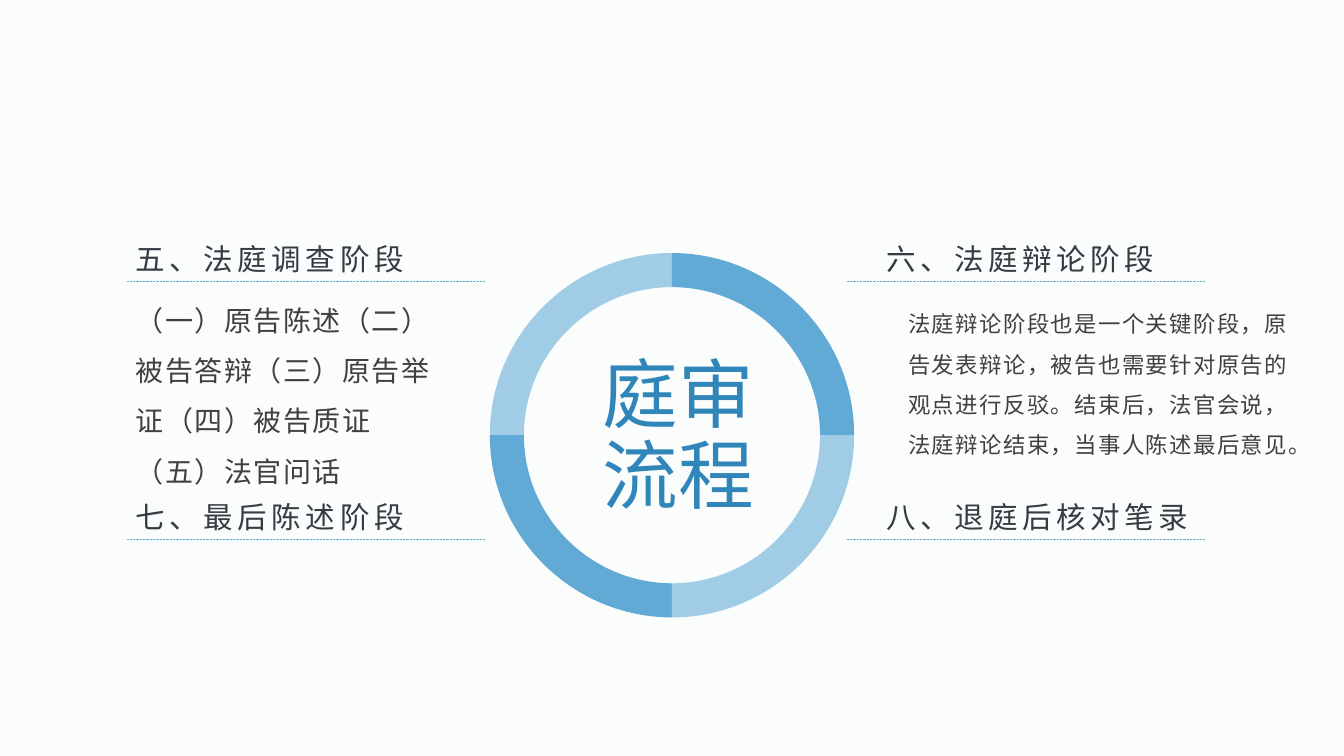
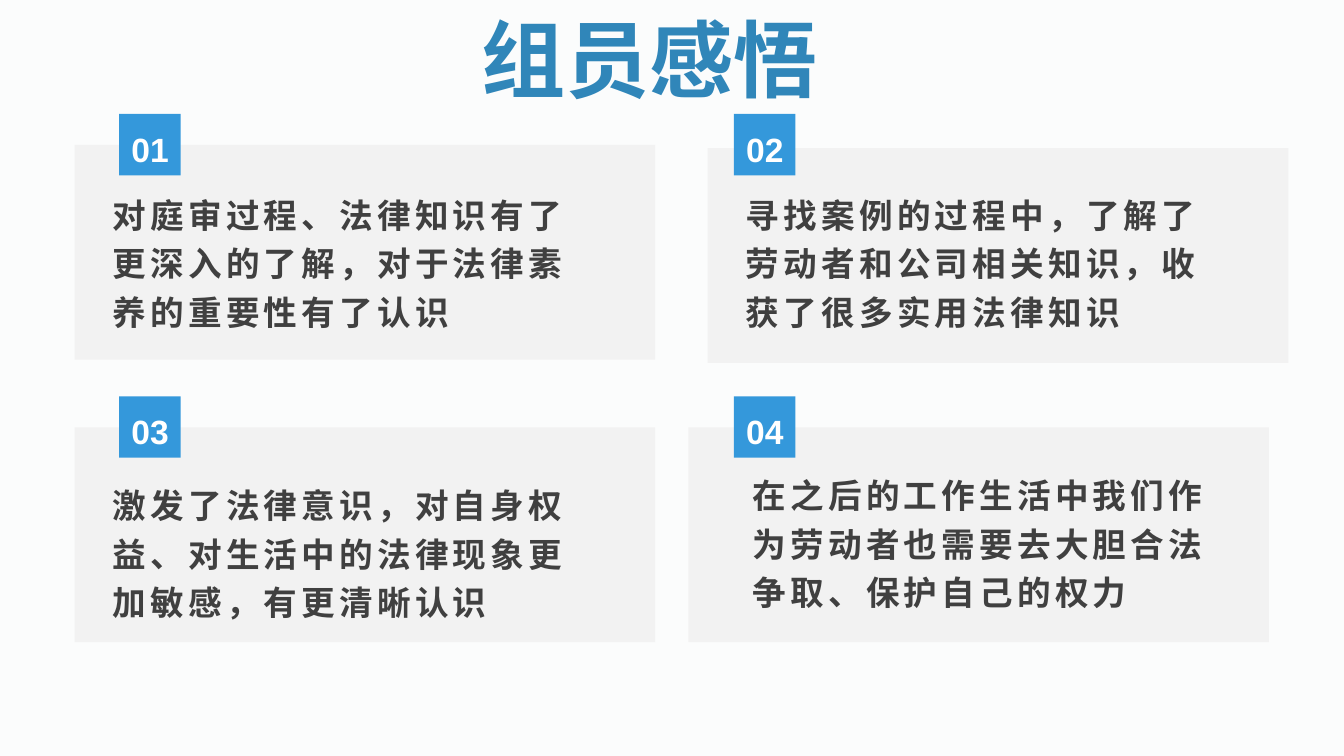
from lxml import etree
from pptx import Presentation, util as u
from pptx.dml.color import RGBColor
from pptx.enum import dml, shapes, text
from pptx.oxml import ns

PX = 914400 / 192
PAPER = RGBColor(0xFB, 0xFC, 0xFC)
WHITE = RGBColor(0xFF, 0xFF, 0xFF)
SLATE = RGBColor(0x33, 0x3D, 0x43)
INK = RGBColor(0x40, 0x40, 0x40)
DEEP = RGBColor(0x30, 0x86, 0xB9)
MID = RGBColor(0x61, 0xAA, 0xD6)
PALE = RGBColor(0xA0, 0xCC, 0xE6)
BLUE = RGBColor(0x34, 0x98, 0xDB)
GREY = RGBColor(0xF2, 0xF2, 0xF2)
SANS = "Noto Sans CJK SC"
MIDDLE = text.MSO_ANCHOR.MIDDLE
GROW = text.MSO_AUTO_SIZE.SHAPE_TO_FIT_TEXT
CENTER = text.PP_ALIGN.CENTER

HEAD = dict(frame=dict(vertical_anchor=MIDDLE, auto_size=GROW), para={},
            font=dict(size=u.Pt(21.1), name=SANS), color=SLATE, gap=320)
LIST = dict(frame=dict(vertical_anchor=MIDDLE, auto_size=GROW), para=dict(line_spacing=1.5),
            font=dict(size=u.Pt(20), name=SANS), color=INK, gap=106)
BODY = dict(frame=dict(vertical_anchor=MIDDLE), para=dict(line_spacing=1.5),
            font=dict(size=u.Pt(16), name=SANS), color=INK, gap=106)
CORE = dict(frame=dict(vertical_anchor=MIDDLE), para=dict(line_spacing=0.9),
            font=dict(size=u.Pt(54), name=SANS), color=DEEP, gap=0)
TITLE = dict(frame=dict(auto_size=GROW), para=dict(alignment=CENTER),
             font=dict(size=u.Pt(60), name=SANS, bold=True), color=DEEP, gap=0)
TAG = dict(frame={}, para=dict(alignment=CENTER, line_spacing=1.1),
           font=dict(size=u.Pt(24), name="Arial", bold=True), color=WHITE, gap=0)
NOTE = dict(frame=dict(vertical_anchor=text.MSO_ANCHOR.BOTTOM, margin_bottom=0),
            para=dict(line_spacing=1.2),
            font=dict(size=u.Pt(24), name="Arial", bold=True), color=INK, gap=300)


def write(page, spot, words, style):
    frame = page.add_textbox(*[round(n * PX) for n in spot]).text_frame
    frame.word_wrap = True
    for key, val in style["frame"].items():
        setattr(frame, key, val)
    for i, line in enumerate(words.split("\n")):
        para = frame.add_paragraph() if i else frame.paragraphs[0]
        for key, val in style["para"].items():
            setattr(para, key, val)
        run = para.add_run()
        run.text = line
        for key, val in style["font"].items():
            setattr(run.font, key, val)
        run.font.color.rgb = style["color"]
        props = run._r.get_or_add_rPr()
        if style["gap"]:
            props.set("spc", str(style["gap"]))
        etree.SubElement(props, ns.qn("a:ea")).set("typeface", SANS)


def paint(shape, color):
    shape.shadow.inherit = False
    shape.fill.solid()
    shape.fill.fore_color.rgb = color
    shape.line.fill.background()


deck = Presentation()
deck.slide_width, deck.slide_height = round(2560 * PX), round(1440 * PX)
back = deck.slide_master.background.fill
back.solid()
back.fore_color.rgb = PAPER
blank = deck.slide_layouts[6]

flow = deck.slides.add_slide(blank).shapes
for spot, words, style in [
    ((240, 449, 645, 88), "五、法庭调查阶段", HEAD),
    ((240, 534, 626, 407), "（一）原告陈述（二）被告答辩（三）原告举证（四）被告质证（五）法官问话", LIST),
    ((240, 941, 626, 88), "七、最后陈述阶段", HEAD),
    ((1670, 449, 624, 88), "六、法庭辩论阶段", HEAD),
    ((1711, 470, 793, 499), "法庭辩论阶段也是一个关键阶段，原告发表辩论，被告也需要针对原告的观点进行反驳。"
     "结束后，法官会说，法庭辩论结束，当事人陈述最后意见。", BODY),
    ((1670, 941, 751, 88), "八、退庭后核对笔录", HEAD),
]:
    write(flow, spot, words, style)

MIDX, MIDY, OUTER, INNER, BEND = 1280, 829, 347, 282, 0.55
WEST, NORTH, EAST, SOUTH = (-1, 0), (0, -1), (1, 0), (0, 1)
for a, b, color in [(WEST, NORTH, PALE), (NORTH, EAST, MID),
                    (SOUTH, WEST, MID), (EAST, SOUTH, PALE)]:
    arc = [(1, 0), (1, BEND), (BEND, 1), (0, 1)]
    rim = [(OUTER, p, q) for p, q in arc] + [(INNER, p, q) for p, q in reversed(arc)]
    dots = [(round((MIDX + r * (p * a[0] + q * b[0])) * PX),
             round((MIDY + r * (p * a[1] + q * b[1])) * PX)) for r, p, q in rim]
    pen = flow.build_freeform(*dots[0])
    pen.add_line_segments(dots[1:], close=True)
    part = pen.convert_to_shape()
    paint(part, color)
    legs = list(part._element.iter(ns.qn("a:lnTo")))
    for trio in (legs[:3], legs[4:7]):
        curve = etree.Element(ns.qn("a:cubicBezTo"))
        trio[0].addprevious(curve)
        for leg in trio:
            curve.append(leg[0])
            leg.getparent().remove(leg)

for y in (536, 1027):
    for x in (1613, 242):
        ends = [round(n * PX) for n in (x, y, x + 682, y)]
        rule = flow.add_connector(shapes.MSO_CONNECTOR.STRAIGHT, *ends)
        for key, val in dict(width=u.Pt(0.5), dash_style=dml.MSO_LINE.ROUND_DOT).items():
            setattr(rule.line, key, val)
        rule.line.color.rgb = MID
        etree.SubElement(rule._element.spPr, ns.qn("a:effectLst"))
write(flow, (1129, 728, 420, 215), "庭审\n流程", CORE)

views = deck.slides.add_slide(blank).shapes
for num, card, tag, note, words in [
    ("02", (1348, 282), (1398, 217), (1402, 551), "寻找案例的过程中，了解了劳动者和公司相关知识，收获了很多实用法律知识"),
    ("04", (1311, 814), (1398, 755), (1415, 1085), "在之后的工作生活中我们作为劳动者也需要去大胆合法争取、保护自己的权力"),
    ("01", (142, 276), (227, 217), (196, 551), "对庭审过程、法律知识有了更深入的了解，对于法律素养的重要性有了认识"),
    ("03", (142, 814), (227, 755), (196, 1104), "激发了法律意识，对自身权益、对生活中的法律现象更加敏感，有更清晰认识"),
]:
    for spot, size, color in [(card, (1106, 409), GREY), (tag, (117, 117), BLUE)]:
        rect = views.add_shape(shapes.MSO_SHAPE.RECTANGLE, *[round(n * PX) for n in spot + size])
        paint(rect, color)
    write(views, (tag[0] + 3, tag[1] + 11, 112, 104), num, TAG)
    write(views, note + (972, 81), words, NOTE)
write(views, (835, 4, 803, 213), "组员感悟", TITLE)

deck.save("out.pptx")
